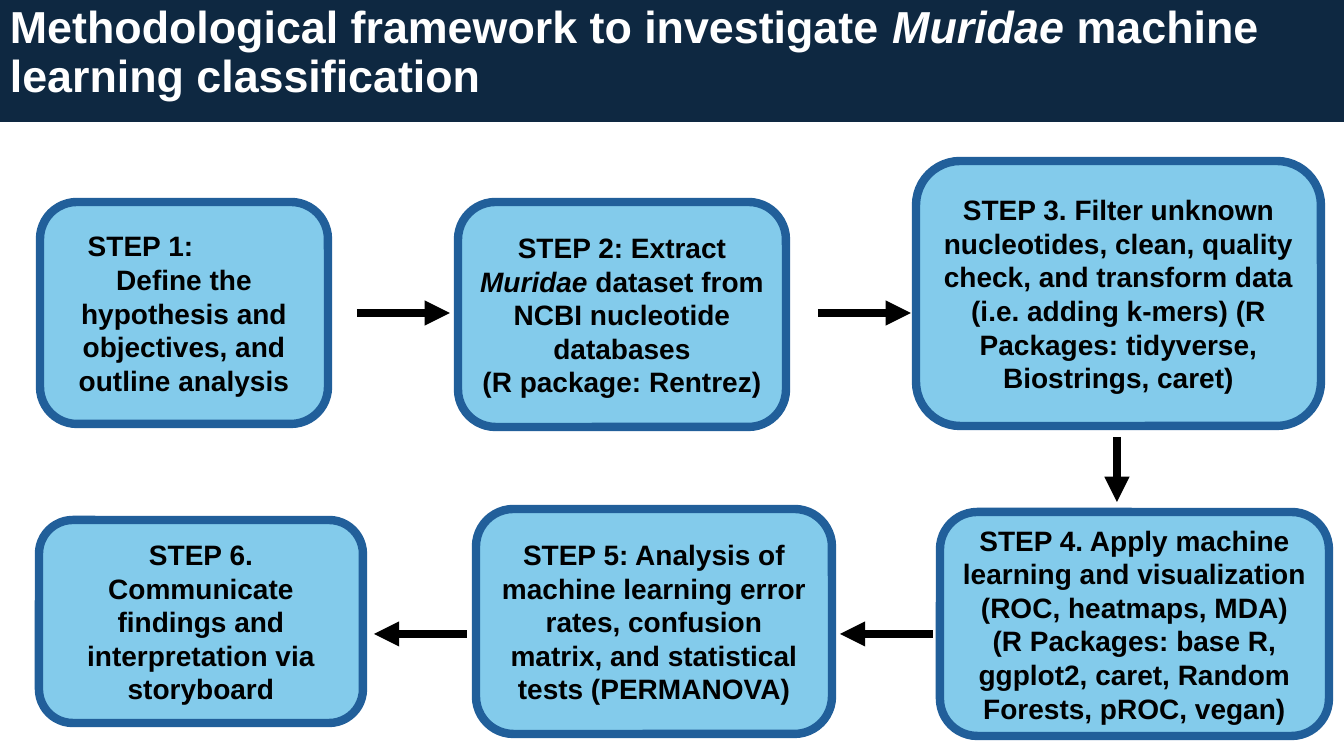
from lxml import etree
from pptx import Presentation
from pptx.dml.color import RGBColor
from pptx.enum.shapes import MSO_CONNECTOR, MSO_SHAPE
from pptx.enum.text import MSO_ANCHOR, PP_ALIGN
from pptx.oxml.ns import qn
from pptx.util import Pt

NAVY = RGBColor(0x0E, 0x28, 0x41)
SKY = RGBColor(0x83, 0xCB, 0xEB)
BLUE = RGBColor(0x21, 0x5F, 0x9A)
BLACK = RGBColor(0, 0, 0)
WHITE = RGBColor(255, 255, 255)

WIDTH, HEIGHT = 1344, 756
EMU_PER_PX = 12192000 / WIDTH


def px(length):
    return round(length * EMU_PER_PX)


class FlowSlide:
    font_name = "Arial"
    line_width = Pt(6)

    def __init__(self, slide):
        self.slide = slide

    def shape(self, kind, box, fill):
        shape = self.slide.shapes.add_shape(kind, *map(px, box))
        shape.shadow.inherit = False
        shape.fill.solid()
        shape.fill.fore_color.rgb = fill
        shape.text_frame.word_wrap = True
        return shape

    def add_text(self, paragraph, text, size, color, align):
        """Fill a paragraph; parts between asterisks become italic."""
        paragraph.alignment = align
        for index, part in enumerate(text.split("*")):
            run = paragraph.add_run()
            run.text = part
            run.font.name = self.font_name
            run.font.size = Pt(size)
            run.font.bold = True
            run.font.italic = index % 2 == 1
            run.font.color.rgb = color

    def title(self, text, height):
        banner = self.shape(MSO_SHAPE.RECTANGLE, (0, 0, WIDTH, height), NAVY)
        banner.line.fill.background()
        banner.text_frame.vertical_anchor = MSO_ANCHOR.TOP
        paragraph = banner.text_frame.paragraphs[0]
        paragraph.line_spacing = 0.9
        self.add_text(paragraph, text, 32, WHITE, PP_ALIGN.LEFT)

    def step(self, box, *lines, heading_indent=None):
        """Add a step box; heading_indent sets its first line flush left."""
        card = self.shape(MSO_SHAPE.ROUNDED_RECTANGLE, box, SKY)
        card.line.color.rgb = BLUE
        card.line.width = self.line_width
        frame = card.text_frame
        frame.vertical_anchor = MSO_ANCHOR.MIDDLE
        for index, line in enumerate(lines):
            paragraph = frame.add_paragraph() if index else frame.paragraphs[0]
            self.add_text(paragraph, line, 20, BLACK, PP_ALIGN.CENTER)
        if heading_indent:
            heading = frame.paragraphs[0]
            heading.alignment = PP_ALIGN.LEFT
            heading._p.get_or_add_pPr().set("marL", str(px(heading_indent)))

    def arrow(self, x, y, dx=0, dy=0):
        arrow = self.slide.shapes.add_connector(
            MSO_CONNECTOR.STRAIGHT, px(x), px(y), px(x + dx), px(y + dy))
        arrow.line.color.rgb = BLACK
        arrow.line.width = self.line_width
        etree.SubElement(arrow.line._get_or_add_ln(), qn("a:tailEnd"), type="triangle")
        etree.SubElement(arrow._element.spPr, qn("a:effectLst"))


def main():
    deck = Presentation()
    deck.slide_width, deck.slide_height = px(WIDTH), px(HEIGHT)
    flow = FlowSlide(deck.slides.add_slide(deck.slide_layouts[6]))

    flow.title("Methodological framework to investigate *Muridae* machine "
               "learning classification", 122)

    flow.step((40, 202, 288, 222), "STEP 1:",
              "Define the hypothesis and objectives, and outline analysis",
              heading_indent=27)
    flow.step((458, 202, 328, 225),
              "STEP 2: Extract *Muridae* dataset from NCBI nucleotide databases",
              "(R package: Rentrez)")
    flow.step((916, 161, 405, 265),
              "STEP 3. Filter unknown nucleotides, clean, quality check, and "
              "transform data (i.e. adding k-mers) (R Packages: tidyverse, "
              "Biostrings, caret)")
    flow.step((940, 512, 389, 224),
              "STEP 4. Apply machine learning and visualization "
              "(ROC, heatmaps, MDA)",
              "(R Packages: base R, ggplot2, caret, Random Forests, pROC, vegan)")
    flow.step((476, 509, 356, 225),
              "STEP 5: Analysis of machine learning error rates, confusion "
              "matrix, and statistical tests (PERMANOVA)")
    flow.step((39, 520, 324, 203),
              "STEP 6. Communicate findings and interpretation via storyboard")

    reach = 93
    for start in (357, 818):
        flow.arrow(start, 313, dx=reach)
    flow.arrow(1117, 437, dy=65)
    for start in (933, 467):
        flow.arrow(start, 634, dx=-reach)

    deck.save("out.pptx")


if __name__ == "__main__":
    main()
